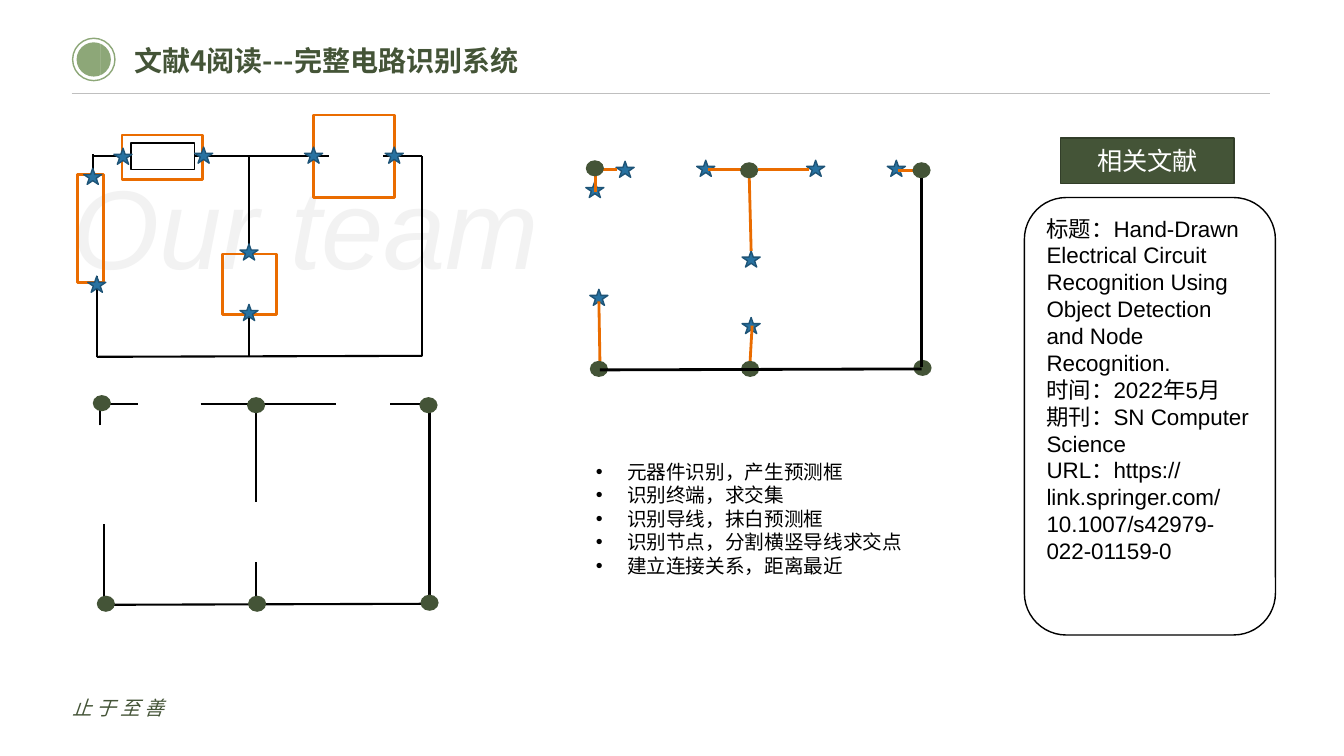
from math import cos, hypot, atan2, pi, sin

from lxml.etree import SubElement
from pptx import Presentation
from pptx.dml.color import RGBColor
from pptx.enum.shapes import MSO_CONNECTOR as Connector, MSO_SHAPE as Shape
from pptx.enum.text import MSO_ANCHOR as Anchor, PP_ALIGN as Align
from pptx.oxml.ns import qn
from pptx.util import Inches, Pt

BLACK = RGBColor(0x00, 0x00, 0x00)
WHITE = RGBColor(0xFF, 0xFF, 0xFF)
PALE = RGBColor(0xF2, 0xF2, 0xF2)
RULE_GREY = RGBColor(0xBF, 0xBF, 0xBF)
SAGE = RGBColor(0x8D, 0xA7, 0x78)
GREEN = RGBColor(0x44, 0x54, 0x37)
DARK_GREEN = RGBColor(0x32, 0x3E, 0x29)
ORANGE = RGBColor(0xEA, 0x6C, 0x00)
BLUE = RGBColor(0x28, 0x72, 0xA1)
DARK_BLUE = RGBColor(0x1E, 0x54, 0x77)

LATIN_FONT = "Arial"
CHINESE_FONT = "Noto Sans CJK SC"
MARKER = (0.18, 0.16)

WIRES = [
    (0.92, 1.55, 1.3, 1.55), (1.92, 1.55, 3.26, 1.55), (3.8, 1.55, 4.19, 1.55),
    (0.92, 1.76, 0.92, 1.53), (0.96, 2.74, 0.96, 3.54), (0.96, 3.54, 4.19, 3.53),
    (2.47, 2.52, 2.47, 1.55), (2.47, 3.12, 2.47, 3.53), (4.19, 1.55, 4.19, 3.53),
]
ERASED_OFFSET = (0.07, 2.46)
COMPONENT_BOXES = [
    (1.21, 1.34, 0.8, 0.44), (3.11, 1.14, 0.8, 0.82),
    (2.21, 2.52, 0.53, 0.6), (0.77, 1.73, 0.26, 1.07),
]
TERMINALS = [
    (1.13, 1.47), (1.93, 1.46), (0.83, 1.67), (0.87, 2.74),
    (3.02, 1.46), (3.82, 1.46), (2.38, 3.02),
]
TERMINAL_OFFSET = (4.98, 0.13)
UPPER_TERMINALS = [(2.38, 2.42), (7.36, 2.49)]
NODES = [
    (0.92, 3.92), (2.45, 3.94), (4.16, 3.94),
    (0.96, 5.91), (2.46, 5.91), (4.17, 5.9),
]
NODE_OFFSET = (4.89, -2.33)
LINKS = [
    (5.91, 1.9, 5.91, 1.67), (6.12, 1.68, 5.91, 1.68), (5.95, 3.58, 5.94, 2.99),
    (7.45, 2.49, 7.43, 1.71), (7.44, 3.58, 7.46, 3.23), (9.1, 1.69, 8.91, 1.69),
    (7.36, 1.68, 7.02, 1.68), (8.02, 1.68, 7.52, 1.68),
]
DIRECT_WIRES = [(5.95, 3.67, 9.14, 3.66), (9.14, 3.64, 9.14, 1.77)]
STEPS = [
    "元器件识别，产生预测框", "识别终端，求交集", "识别导线，抹白预测框",
    "识别节点，分割横竖导线求交点", "建立连接关系，距离最近",
]
REFERENCE = [
    "标题：Hand-Drawn Electrical Circuit Recognition Using Object Detection and Node Recognition.",
    "时间：2022年5月",
    "期刊：SN Computer Science",
    "URL：https://link.springer.com/10.1007/s42979-022-01159-0",
]


class CircuitSlide:
    """Draws styled elements on the current slide."""

    def __init__(self, slide):
        self.slide = slide
        self.shapes = slide.shapes

    def fill_text(self, shape, lines, size, color, font=LATIN_FONT, bold=False, italic=False,
                  align=Align.LEFT, anchor=Anchor.TOP, left_inset=0.1, bullet=False, spacing=0):
        frame = shape.text_frame
        frame.text = "\n".join(lines)
        frame.word_wrap = True
        frame.vertical_anchor = anchor
        frame.margin_left, frame.margin_right = Inches(left_inset), Inches(0.1)
        frame.margin_top = frame.margin_bottom = Inches(0.05)
        for paragraph in frame.paragraphs:
            paragraph.alignment = align
            paragraph.space_before = Pt(0)
            if bullet:
                properties = paragraph._p.get_or_add_pPr()
                properties.set("marL", str(Inches(0.31)))
                properties.set("indent", str(-Inches(0.31)))
                SubElement(properties, qn("a:buFont")).set("typeface", LATIN_FONT)
                SubElement(properties, qn("a:buChar")).set("char", "•")
            paragraph.font.size = Pt(size)
            paragraph.font.bold = bold
            paragraph.font.italic = italic
            paragraph.font.color.rgb = color
            paragraph.font.name = font
            character = paragraph.font._element
            SubElement(character, qn("a:ea")).set("typeface", font)
            if spacing:
                character.set("spc", str(spacing * 100))

    def text(self, box, lines, size, color, **style):
        shape = self.shapes.add_textbox(*map(Inches, box))
        self.fill_text(shape, lines, size, color, **style)

    def placeholder(self, index, box, lines, size, color, **style):
        shape = self.slide.placeholders[index]
        shape.left, shape.top, shape.width, shape.height = map(Inches, box)
        self.fill_text(shape, lines, size, color, **style)

    def paint(self, shape, fill=None, line=None, width=1):
        shape.shadow.inherit = False
        if fill is None:
            shape.fill.background()
        else:
            shape.fill.solid()
            shape.fill.fore_color.rgb = fill
        if line is None:
            shape.line.fill.background()
        else:
            shape.line.color.rgb = line
            shape.line.width = Pt(width)

    def shape(self, kind, box, fill=None, line=None, width=1):
        shape = self.shapes.add_shape(kind, *map(Inches, box))
        self.paint(shape, fill, line, width)
        return shape

    def line(self, ends, color, width, offset=(0, 0)):
        points = [Inches(value + offset[i % 2]) for i, value in enumerate(ends)]
        connector = self.shapes.add_connector(Connector.STRAIGHT, *points)
        connector.line.color.rgb = color
        connector.line.width = Pt(width)
        SubElement(connector._element.spPr, qn("a:effectLst"))

    def terminal(self, x, y):
        self.shape(Shape.STAR_5_POINT, (x, y, *MARKER), BLUE, DARK_BLUE)

    def node(self, x, y):
        self.shape(Shape.OVAL, (x, y, *MARKER), GREEN)

    def gear(self, x, y):
        tooth = [(0.07, -0.01), (0.09, -0.01), (0.09, -0.02), (0.1, -0.02),
                 (0.1, 0.02), (0.09, 0.02), (0.09, 0.01), (0.07, 0.01)]
        outline = []
        for index in range(8):
            for radius, side in tooth:
                angle = index * pi / 4 + atan2(side, radius)
                reach = hypot(radius, side)
                outline.append((x + reach * cos(angle), y + reach * sin(angle)))
        contours = [outline]
        for dx, dy, radius in [(0, 0, 0.06), (-0.01, -0.01, 0.02), (0.02, 0.02, 0.01)]:
            contours.append([(x + dx + radius * cos(-k * pi / 12),
                              y + dy + radius * sin(-k * pi / 12)) for k in range(24)])
        builder = self.shapes.build_freeform(*contours[0][0], scale=Inches(1))
        builder.add_line_segments(contours[0][1:])
        for contour in contours[1:]:
            builder.move_to(*contour[0])
            builder.add_line_segments(contour[1:])
        self.paint(builder.convert_to_shape(), WHITE)


def main():
    presentation = Presentation()
    presentation.slide_width, presentation.slide_height = Inches(13.33), Inches(7.5)
    page = CircuitSlide(presentation.slides.add_slide(presentation.slide_layouts[1]))

    page.text((0.72, 1.51, 5.47, 1.45), ["Our team"], 80, PALE, italic=True, left_inset=0)
    page.shape(Shape.OVAL, (0.72, 0.38, 0.42, 0.42), line=SAGE)
    page.shape(Shape.OVAL, (0.76, 0.42, 0.34, 0.34), SAGE)
    page.gear(0.93, 0.59)
    page.line((0.71, 0.93, 12.6, 0.93), RULE_GREY, 0.5)
    page.placeholder(0, (1.33, 0.38, 9.76, 0.44), ["文献4阅读---完整电路识别系统"], 20, GREEN,
                     font=CHINESE_FONT, bold=True, left_inset=0)
    page.text((0.72, 6.82, 3.66, 0.4), ["止于至善"], 14, GREEN, font=CHINESE_FONT,
              italic=True, anchor=Anchor.MIDDLE, left_inset=0, spacing=3)

    for offset in [(0, 0), ERASED_OFFSET]:
        for wire in WIRES:
            page.line(wire, BLACK, 1.5, offset)
    page.shape(Shape.RECTANGLE, (1.3, 1.42, 0.63, 0.26), WHITE, BLACK)
    for box in COMPONENT_BOXES:
        page.shape(Shape.RECTANGLE, box, line=ORANGE, width=2)
    for dx, dy in [(0, 0), TERMINAL_OFFSET]:
        for x, y in TERMINALS:
            page.terminal(x + dx, y + dy)
    for x, y in UPPER_TERMINALS:
        page.terminal(x, y)
    for link in LINKS:
        page.line(link, ORANGE, 2)
    for dx, dy in [(0, 0), NODE_OFFSET]:
        for x, y in NODES:
            page.node(x + dx, y + dy)
    for wire in DIRECT_WIRES:
        page.line(wire, BLACK, 2)

    page.placeholder(1, (5.81, 4.51, 3.42, 1.28), STEPS, 14, BLACK, bullet=True)
    card = page.shape(Shape.ROUNDED_RECTANGLE, (10.16, 1.96, 2.49, 4.34), WHITE, BLACK)
    page.fill_text(card, REFERENCE, 16, BLACK)
    label = page.shape(Shape.RECTANGLE, (10.52, 1.37, 1.72, 0.45), GREEN, DARK_GREEN)
    page.fill_text(label, ["相关文献"], 18, WHITE, align=Align.CENTER, anchor=Anchor.MIDDLE)
    presentation.save("out.pptx")


if __name__ == "__main__":
    main()
